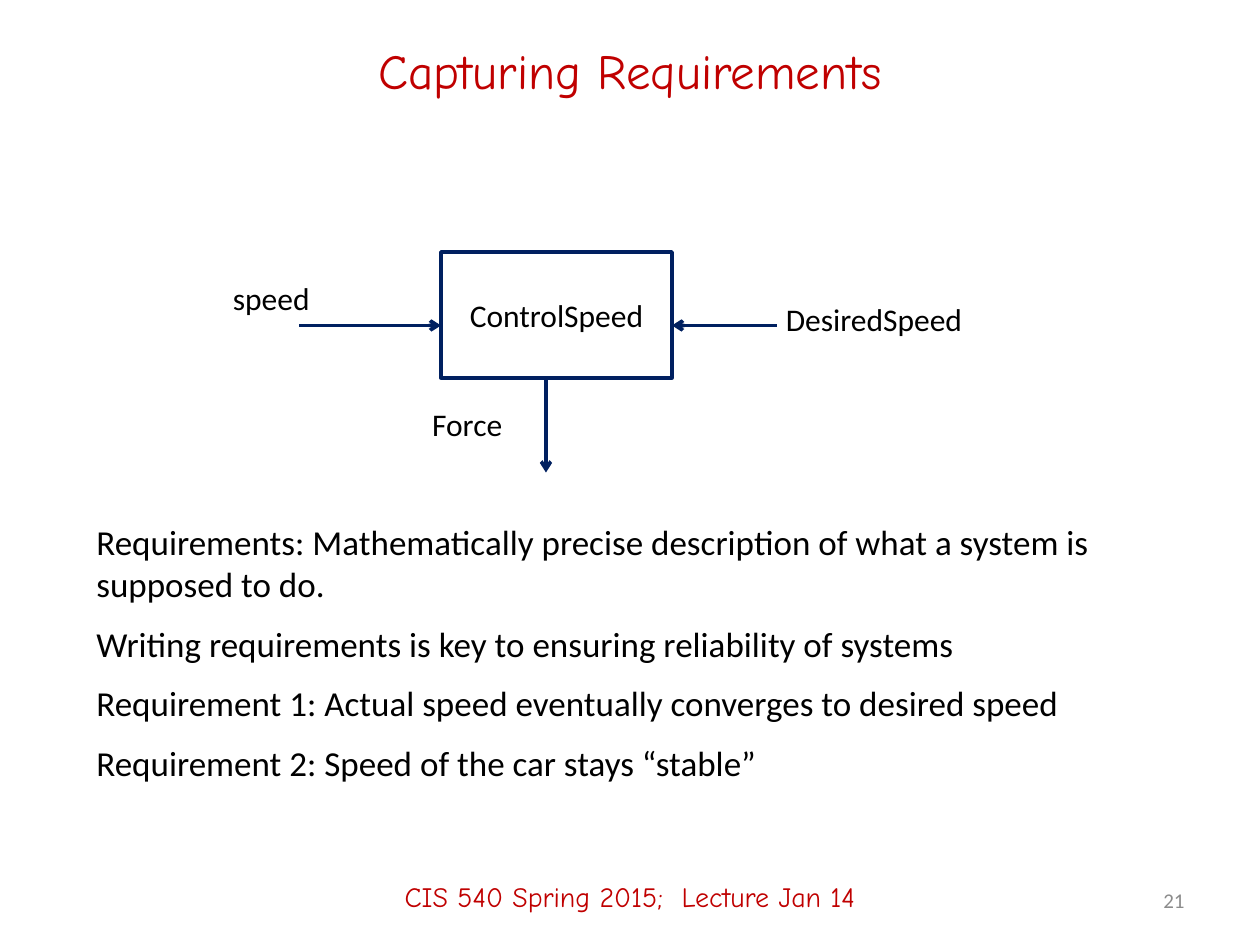
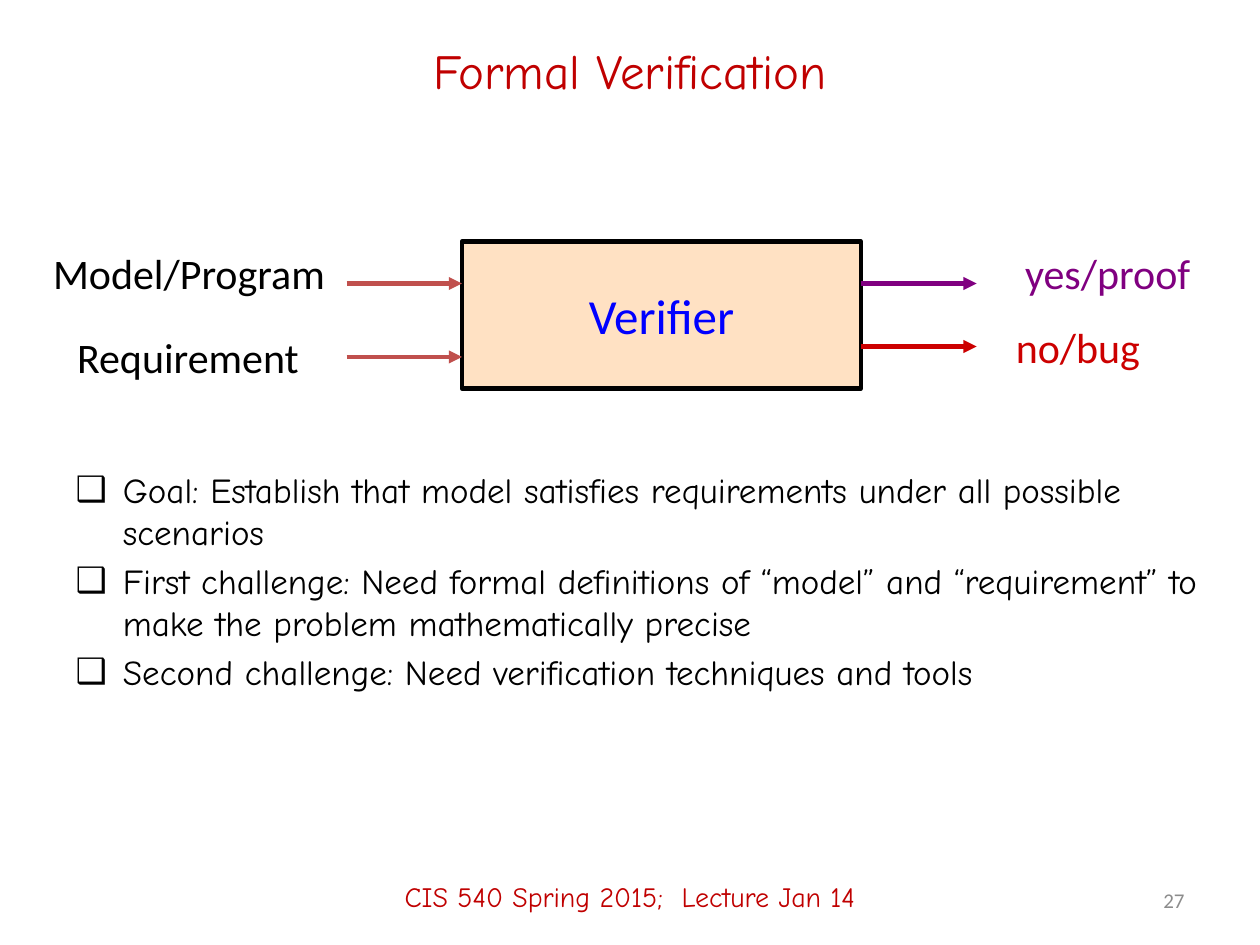
"""Build two lecture slides on requirements and formal verification."""
from dataclasses import dataclass

from lxml import etree
from pptx import Presentation
from pptx.dml import color
from pptx.enum import shapes, text
from pptx.oxml import ns
from pptx.util import Pt

SANS, COMIC = "Calibri", "Comic Neue"
BLACK, RED, NAVY, GREY = "000000", "C00000", "002060", "8C8C8C"
ROSE, PURPLE, SCARLET, BLUE, PEACH = "C0504D", "800080", "CC0000", "0000FF", "FFCC99"
LEFT, CENTER, RIGHT = text.PP_ALIGN.LEFT, text.PP_ALIGN.CENTER, text.PP_ALIGN.RIGHT
TOP, MIDDLE = text.MSO_ANCHOR.TOP, text.MSO_ANCHOR.MIDDLE
TITLE_AT = (36, 12, 648, 56)
FOOTER = "CIS 540 Spring 2015;  Lecture Jan 14"


@dataclass
class Style:
    size: float
    color: str = BLACK
    font: str = SANS
    align: text.PP_ALIGN = LEFT
    anchor: text.MSO_ANCHOR = TOP
    wrap: bool = True
    gap: float = 0
    bullet: str = ""


@dataclass
class Label:
    at: tuple
    words: list
    style: Style


@dataclass
class Box:
    at: tuple
    words: str
    style: Style
    line: str
    weight: float
    fill: str = ""
    alpha: int = 100


@dataclass
class Arrow:
    start: tuple
    end: tuple
    color: str
    weight: float
    head: str


def rgb(value: str) -> color.RGBColor:
    """Turn a hex string into a colour."""
    return color.RGBColor.from_string(value)


def assign(target, values: dict) -> None:
    """Set each named attribute on the target."""
    for name, value in values.items():
        setattr(target, name, value)


def place(sp, at: tuple) -> None:
    """Move and size a shape, in points."""
    assign(sp, dict(zip(("left", "top", "width", "height"), map(Pt, at))))


def add_bullet(p, mark: str) -> None:
    """Give a paragraph a hanging bullet."""
    pPr = p._p.get_or_add_pPr()
    pPr.set("marL", str(Pt(27)))
    pPr.set("indent", str(-Pt(27)))
    etree.SubElement(pPr, ns.qn("a:buChar")).set("char", mark)


def write(tf, words: list, style: Style) -> None:
    """Fill a text frame with styled paragraphs."""
    assign(tf, {"word_wrap": style.wrap, "vertical_anchor": style.anchor,
                "auto_size": text.MSO_AUTO_SIZE.NONE})
    for i, line in enumerate(words):
        p = tf.add_paragraph() if i else tf.paragraphs[0]
        assign(p, {"alignment": style.align, "space_before": Pt(style.gap if i else 0)})
        if style.bullet:
            add_bullet(p, style.bullet)
        r = p.add_run()
        r.text = line
        assign(r.font, {"size": Pt(style.size), "name": style.font})
        r.font.color.rgb = rgb(style.color)


def draw_label(s, label: Label) -> None:
    """Draw a text box."""
    sp = s.shapes.add_textbox(*map(Pt, label.at))
    write(sp.text_frame, label.words, label.style)


def draw_box(s, box: Box) -> None:
    """Draw an outlined rectangle with its name inside."""
    sp = s.shapes.add_shape(shapes.MSO_SHAPE.RECTANGLE, *map(Pt, box.at))
    sp.shadow.inherit = False
    if box.fill:
        sp.fill.solid()
        sp.fill.fore_color.rgb = rgb(box.fill)
        clr = sp._element.spPr.find(".//" + ns.qn("a:srgbClr"))
        etree.SubElement(clr, ns.qn("a:alpha")).set("val", str(box.alpha * 1000))
    else:
        sp.fill.background()
    sp.line.color.rgb = rgb(box.line)
    sp.line.width = Pt(box.weight)
    write(sp.text_frame, [box.words], box.style)


def draw_arrow(s, arrow: Arrow) -> None:
    """Draw a straight arrow from start to end."""
    sp = s.shapes.add_connector(shapes.MSO_CONNECTOR.STRAIGHT,
                                *map(Pt, arrow.start + arrow.end))
    sp.line.color.rgb = rgb(arrow.color)
    sp.line.width = Pt(arrow.weight)
    etree.SubElement(sp.line._get_or_add_ln(), ns.qn("a:tailEnd")).set("type", arrow.head)
    etree.SubElement(sp._element.spPr, ns.qn("a:effectLst"))


DRAW = {Label: draw_label, Box: draw_box, Arrow: draw_arrow}
TITLE = Style(28, RED, COMIC, CENTER, MIDDLE)
FOOT = Style(16, RED, COMIC, CENTER, MIDDLE)
NUMBER = Style(12, GREY, align=RIGHT, anchor=MIDDLE)
SIGNAL = Style(18)
NAME = Style(18, align=CENTER, anchor=MIDDLE)
PROSE = Style(20, gap=10)
LIST = Style(20, font=COMIC, gap=4, bullet="❑")


def port(words: str, at: tuple, ink: str = BLACK) -> Label:
    """Describe a large label beside the verifier."""
    return Label(at, [words], Style(24, ink, align=CENTER, anchor=MIDDLE, wrap=False))


def flow(x: float, y: float, ink: str) -> Arrow:
    """Describe a rightward arrow of the verifier diagram."""
    return Arrow((x, y), (x + 66, y), ink, 2.5, "triangle")


CONTROLLER = [
    Box((252, 144, 132, 72), "ControlSpeed", NAME, NAVY, 2),
    Arrow((171, 186), (252, 186), NAVY, 2, "arrow"),
    Arrow((444, 186), (384, 186), NAVY, 2, "arrow"),
    Arrow((312, 216), (312, 270), NAVY, 2, "arrow"),
    Label((126, 156, 90, 30), ["speed"], SIGNAL),
    Label((442, 168, 158, 29), ["DesiredSpeed"], SIGNAL),
    Label((210, 228, 114, 29), ["Force"], Style(18, align=CENTER)),
    Label((48, 294, 654, 165), [
        "Requirements: Mathematically precise description of what a system is supposed to do.",
        "Writing requirements is key to ensuring reliability of systems",
        "Requirement 1: Actual speed eventually converges to desired speed",
        "Requirement 2: Speed of the car stays “stable”",
    ], PROSE),
]
VERIFIER = [
    Box((264, 138, 228, 84), "Verifier", Style(28, BLUE, align=CENTER, anchor=MIDDLE),
        BLACK, 2.5, PEACH, 58),
    flow(198, 162, ROSE),
    flow(198, 204, ROSE),
    flow(492, 162, PURPLE),
    flow(492, 198, SCARLET),
    port("Model/Program", (22, 138, 172, 36)),
    port("Requirement", (30, 186, 155, 36)),
    port("yes/proof", (570, 138, 126, 36), PURPLE),
    port("no/bug", (570, 180, 92, 36), SCARLET),
]
CHALLENGES = [
    "Goal: Establish that model satisfies requirements under all possible scenarios",
    "First challenge: Need formal definitions of “model” and “requirement” to make "
    "the problem mathematically precise",
    "Second challenge: Need verification techniques and tools",
]


def add_slide(prs, layout: int, title: str, number: int, parts: list):
    """Add a slide with title, diagram, footer and number."""
    s = prs.slides.add_slide(prs.slide_layouts[layout])
    place(s.shapes.title, TITLE_AT)
    write(s.shapes.title.text_frame, [title], TITLE)
    footer = Label((0, 484, 720, 56), [FOOTER], FOOT)
    page = Label((516, 500, 168, 29), [str(number)], NUMBER)
    for part in parts + [footer, page]:
        DRAW[type(part)](s, part)
    return s


def main() -> None:
    """Build and save the presentation."""
    prs = Presentation()
    assign(prs, {"slide_width": Pt(720), "slide_height": Pt(540)})
    add_slide(prs, 5, "Capturing Requirements", 21, CONTROLLER)
    s = add_slide(prs, 1, "Formal Verification", 27, VERIFIER)
    body = s.placeholders[1]
    place(body, (36, 264, 666, 174))
    write(body.text_frame, CHALLENGES, LIST)
    prs.save("out.pptx")


if __name__ == "__main__":
    main()
